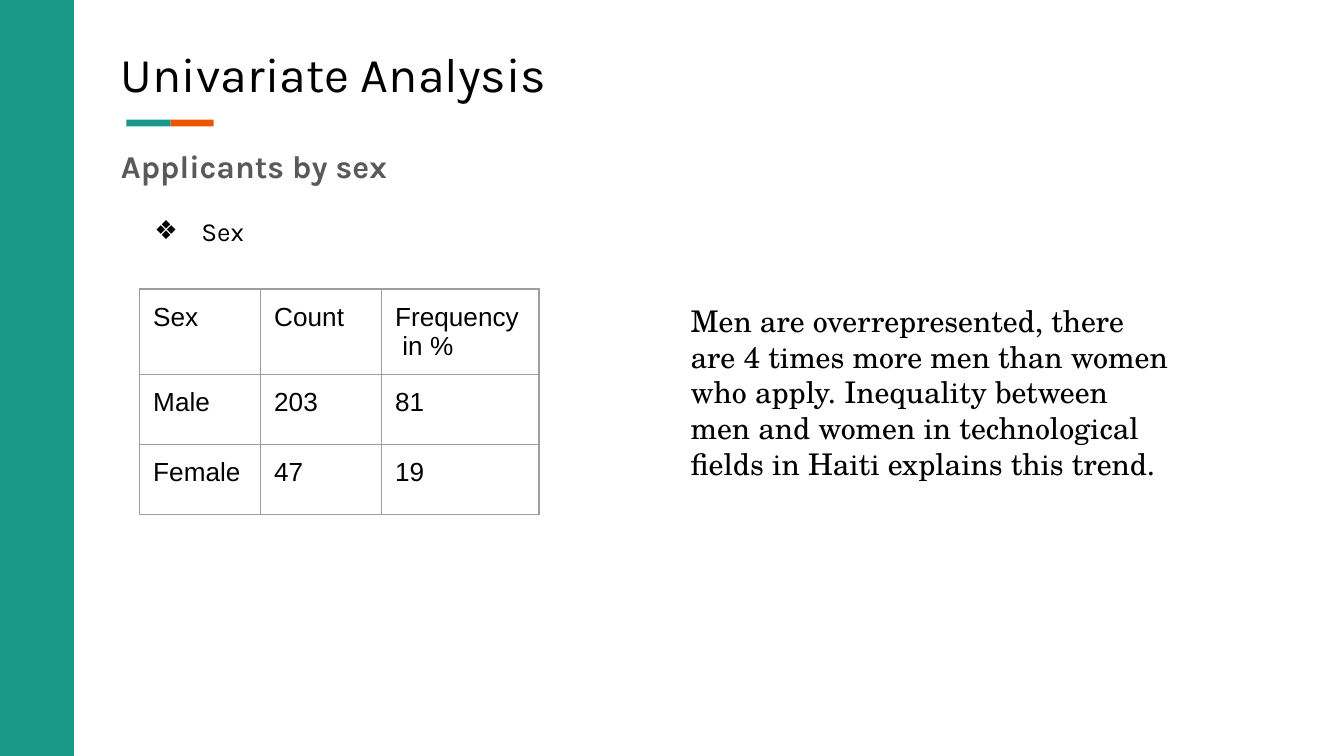
from lxml.etree import SubElement
from pptx import Presentation
from pptx.dml.color import RGBColor
from pptx.enum.shapes import MSO_SHAPE
from pptx.enum.text import MSO_ANCHOR, MSO_AUTO_SIZE, PP_ALIGN
from pptx.oxml.ns import qn
from pptx.util import Inches, Pt

TEAL, ORANGE, BLACK, GREY, BORDER = "1A9988", "EB5500", "000000", "595959", "9E9E9E"
PADDING = 0.1
SLIDE_WIDTH = 10
SLIDE_HEIGHT = SLIDE_WIDTH * 9 / 16

TITLE = "Univariate Analysis"
SUBTITLE = "Applicants by sex"
BULLET = "Sex"
COMMENT = (
    "Men are overrepresented, there are 4 times more men than women who apply. "
    "Inequality between men and women in technological fields in Haiti explains this trend."
)
TABLE_ROWS = [
    ("Sex", "Count", "Frequency\n in %"),
    ("Male", "203", "81"),
    ("Female", "47", "19"),
]
COLUMN_WIDTHS = (0.9, 0.9, 1.17)
ROW_HEIGHT = 0.52
BARS = [  # left, top, width, height, colour
    (0, 0, 0.55, SLIDE_HEIGHT, TEAL),
    (0.94, 0.89, 0.33, 0.05, TEAL),
    (1.27, 0.89, 0.32, 0.05, ORANGE),
]


def colour(value):
    return RGBColor.from_string(value)


def add_bar(slide, left, top, width, height, fill):
    bar = slide.shapes.add_shape(
        MSO_SHAPE.RECTANGLE, *map(Inches, (left, top, width, height)))
    bar.shadow.inherit = False
    bar.fill.solid()
    bar.fill.fore_color.rgb = colour(fill)
    bar.line.fill.background()


def write(text_frame, text, size, font, text_colour=BLACK, bold=False):
    text_frame.text = text
    for paragraph in text_frame.paragraphs:
        paragraph.alignment = PP_ALIGN.LEFT
        paragraph.space_before = Pt(0)
        for run in paragraph.runs:
            run.font.size = Pt(size)
            run.font.name = font
            run.font.bold = bold
            run.font.color.rgb = colour(text_colour)


def set_frame(text_frame, margin):
    text_frame.word_wrap = True
    text_frame.auto_size = MSO_AUTO_SIZE.NONE
    text_frame.vertical_anchor = MSO_ANCHOR.TOP
    text_frame.margin_left = text_frame.margin_right = Inches(margin)
    text_frame.margin_top = text_frame.margin_bottom = Inches(margin)


def fill_placeholder(shape, box, text, **style):
    shape.left, shape.top, shape.width, shape.height = map(Inches, box)
    set_frame(shape.text_frame, 0)
    write(shape.text_frame, text, font="Karla", **style)


def add_text(slide, box, text, **style):
    frame = slide.shapes.add_textbox(*map(Inches, box)).text_frame
    set_frame(frame, PADDING)
    write(frame, text, **style)
    return frame.paragraphs[0]


def add_bullet(paragraph, character, left, hanging, size):
    properties = paragraph._p.get_or_add_pPr()
    properties.set("marL", str(Inches(left)))
    properties.set("indent", str(-Inches(hanging)))
    bullet_colour = SubElement(properties, qn("a:buClr"))
    SubElement(bullet_colour, qn("a:srgbClr"), val=BLACK)
    SubElement(properties, qn("a:buSzPts"), val=str(size * 100))
    SubElement(properties, qn("a:buFont"), typeface="Karla")
    SubElement(properties, qn("a:buChar"), char=character)


def format_cell(cell, text):
    cell.margin_left = cell.margin_right = Inches(PADDING)
    cell.margin_top = cell.margin_bottom = Inches(PADDING)
    write(cell.text_frame, text, 14, "Arial")
    properties = cell._tc.get_or_add_tcPr()
    for side in ("lnL", "lnR", "lnT", "lnB"):
        line = SubElement(properties, qn(f"a:{side}"), w=str(Pt(0.75)))
        line_fill = SubElement(line, qn("a:solidFill"))
        SubElement(line_fill, qn("a:srgbClr"), val=BORDER)
    cell.fill.background()


def add_sex_table(slide, left, top):
    table = slide.shapes.add_table(
        len(TABLE_ROWS), len(COLUMN_WIDTHS), Inches(left), Inches(top),
        Inches(sum(COLUMN_WIDTHS)), Inches(ROW_HEIGHT * len(TABLE_ROWS))).table
    table.first_row = table.horz_banding = False
    for column, width in zip(table.columns, COLUMN_WIDTHS):
        column.width = Inches(width)
    for row, texts in zip(table.rows, TABLE_ROWS):
        row.height = Inches(ROW_HEIGHT)
        for cell, text in zip(row.cells, texts):
            format_cell(cell, text)


def main():
    presentation = Presentation()
    presentation.slide_width = Inches(SLIDE_WIDTH)
    presentation.slide_height = Inches(SLIDE_HEIGHT)
    slide = presentation.slides.add_slide(presentation.slide_layouts[0])

    for bar in BARS:
        add_bar(slide, *bar)
    title, subtitle = slide.placeholders
    fill_placeholder(title, (0.9, 0.33, 8.2, 0.44), TITLE, size=26)
    fill_placeholder(subtitle, (0.9, 1.09, 7, 0.29), SUBTITLE,
                     size=17, text_colour=GREY, bold=True)
    bullet = add_text(slide, (0.9, 1.5, 7.38, 0.44), BULLET, size=14, font="Karla")
    add_bullet(bullet, "❖", left=0.5, hanging=0.35, size=14)
    add_sex_table(slide, 1.04, 2.15)
    add_text(slide, (5.04, 2.15, 3.76, 1.55), COMMENT, size=16, font="TeX Gyre Schola")

    presentation.save("out.pptx")


if __name__ == "__main__":
    main()
